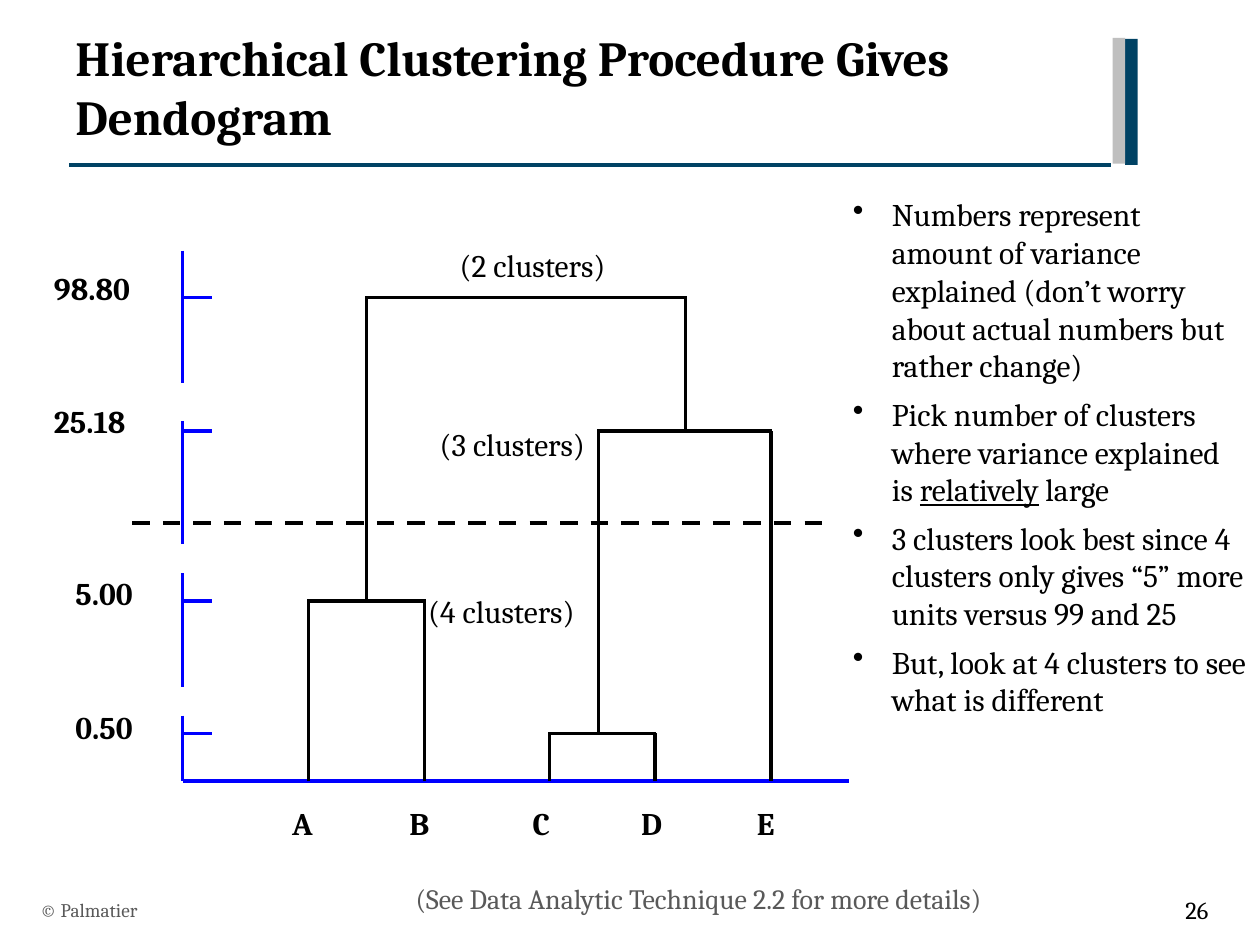
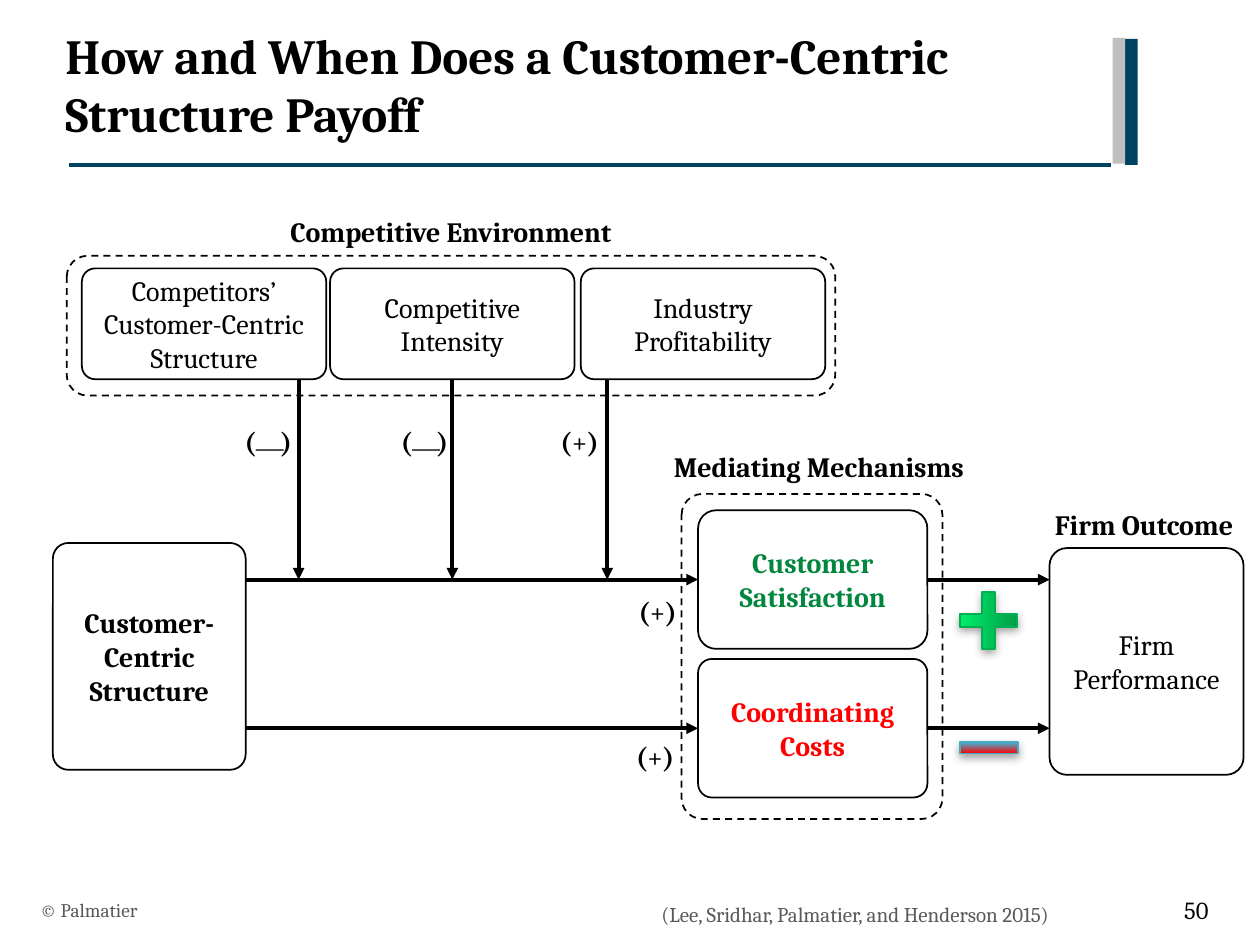
from lxml.etree import SubElement
from pptx import Presentation
from pptx.dml.color import RGBColor
from pptx.enum.dml import MSO_LINE
from pptx.enum.shapes import MSO_CONNECTOR, MSO_SHAPE
from pptx.enum.text import MSO_ANCHOR, PP_ALIGN
from pptx.oxml.ns import qn
from pptx.util import Inches, Pt

# Grid: 100 columns by 75 rows of square cells
WIDTH, HEIGHT = Inches(10), Inches(7.5)
CELL = WIDTH / 100

FONT = "Cambria"
BLACK = RGBColor(0x00, 0x00, 0x00)
WHITE = RGBColor(0xFF, 0xFF, 0xFF)
NAVY = RGBColor(0x00, 0x42, 0x64)
SILVER = RGBColor(0xBF, 0xBF, 0xBF)
GRAY = RGBColor(0x59, 0x59, 0x59)
BLUE = RGBColor(0x00, 0x00, 0xFF)
GREEN = RGBColor(0x00, 0x86, 0x3D)
RED = RGBColor(0xFF, 0x00, 0x00)
PLUS_EDGE = RGBColor(0x00, 0xB0, 0x50)
PLUS_FADE = RGBColor(0x00, 0x9E, 0x47), RGBColor(0x00, 0xEE, 0x6C)
MINUS_EDGE = RGBColor(0x46, 0xAA, 0xC5)
MINUS_FADE = RGBColor(0x39, 0xB7, 0xD8), RED


def cells(*counts):
    """Turn grid counts into lengths."""
    return [round(count * CELL) for count in counts]


def write(frame, paras, size=16, bold=False, color=BLACK, align=PP_ALIGN.LEFT,
          anchor=MSO_ANCHOR.TOP, bullet=None, gap=0, spacing=None):
    """Fill a frame; a paragraph is a string or a list of (text, font settings)."""
    frame.word_wrap = True
    frame.vertical_anchor = anchor
    for i, runs in enumerate([paras] if isinstance(paras, str) else paras):
        para = frame.paragraphs[0] if i == 0 else frame.add_paragraph()
        if bullet:
            props = para._p.get_or_add_pPr()
            indent = cells(3.1)[0]
            props.set("marL", str(indent))
            props.set("indent", str(-indent))
            SubElement(props, qn("a:buChar")).set("char", bullet)
        para.alignment = align
        if i and gap:
            para.space_before = Pt(gap)
        if spacing:
            para.line_spacing = spacing
        for words, extra in [(runs, {})] if isinstance(runs, str) else runs:
            run = para.add_run()
            run.text = words
            run.font.name, run.font.size = FONT, Pt(size)
            run.font.bold = bold
            run.font.color.rgb = color
            for name, value in extra.items():
                setattr(run.font, name, value)


def label(slide, box, paras, **style):
    write(slide.shapes.add_textbox(*cells(*box)).text_frame, paras, **style)


def line(slide, start, end, color=BLACK, width=2, dash=False, arrow=False):
    link = slide.shapes.add_connector(MSO_CONNECTOR.STRAIGHT, *cells(*start, *end))
    link.line.color.rgb = color
    link.line.width = Pt(width)
    if dash:
        link.line.dash_style = MSO_LINE.DASH
    if arrow:
        SubElement(link.line._get_or_add_ln(), qn("a:tailEnd")).set("type", "triangle")
    SubElement(link._element.spPr, qn("a:effectLst"))


def shape(slide, kind, box, fill=None, edge=None, dash=False, bend=None):
    item = slide.shapes.add_shape(kind, *cells(*box))
    item.shadow.inherit = False
    if bend is not None:
        item.adjustments[0] = bend
    if fill:
        item.fill.solid()
        item.fill.fore_color.rgb = fill
    else:
        item.fill.background()
    if edge is not None:
        item.line.color.rgb = edge
        item.line.width = Pt(1)
    else:
        item.line.fill.background()
    if dash:
        item.line.dash_style = MSO_LINE.DASH
    return item


def node(slide, box, paras, bend, **style):
    """Rounded box with centred text."""
    item = shape(slide, MSO_SHAPE.ROUNDED_RECTANGLE, box, WHITE, BLACK, bend=bend)
    write(item.text_frame, paras, align=PP_ALIGN.CENTER,
          anchor=MSO_ANCHOR.MIDDLE, **style)


def region(slide, box, bend):
    """Dashed outline around related nodes."""
    shape(slide, MSO_SHAPE.ROUNDED_RECTANGLE, box, None, BLACK, True, bend)


def glow(item, colors):
    """Shade a sign from top to bottom and give it a soft shadow."""
    item.fill.gradient()
    item.fill.gradient_angle = 270
    for stop, color in zip(item.fill.gradient_stops, colors):
        stop.color.rgb = color
    effects = item._element.spPr.find(qn("a:effectLst"))
    shade = SubElement(effects, qn("a:outerShdw"), blurRad=str(Pt(5)),
                       dist=str(Pt(2)), dir="5400000", rotWithShape="0")
    tint = SubElement(shade, qn("a:srgbClr"), val="808080")
    SubElement(tint, qn("a:alpha"), val="75000")


def heading(slide, left, middle, words):
    """Bold caption centred on a point."""
    label(slide, (left, middle, 61, 3.7), words, bold=True, align=PP_ALIGN.CENTER)


def effect(slide, left, top, sign):
    """Sign of an effect, in bold brackets."""
    runs = [("(", {}), (sign, {"bold": False}), (")", {})]
    label(slide, (left, top, 7, 3.7), [runs], bold=True, align=PP_ALIGN.CENTER)


def page(deck, title, spot, number):
    """Blank slide with the shared title, bands and footer."""
    slide = deck.slides.add_slide(deck.slide_layouts[6])
    line(slide, (5.5, 13.1), (88.2, 13.1), NAVY)
    shape(slide, MSO_SHAPE.RECTANGLE, (89.3, 3.1, 1, 10), NAVY)
    shape(slide, MSO_SHAPE.RECTANGLE, (88.3, 3, 1, 10), SILVER)
    label(slide, (*spot, 83.5, 10.9), title, size=28, bold=True)
    label(slide, (2.2, 70.2, 67, 4), "© Palmatier", size=11, color=GRAY,
          anchor=MSO_ANCHOR.MIDDLE)
    label(slide, (90.8, 70.2, 6.1, 4), number, size=14, align=PP_ALIGN.RIGHT,
          anchor=MSO_ANCHOR.MIDDLE)
    return slide


def cluster_page(deck):
    slide = page(deck, "Hierarchical Clustering Procedure Gives Dendogram",
                 (5, 1.7), "26")

    # Broken scale: value, label left, label top, tick, part top, part foot
    axis, base = 14.5, 62
    for value, left, top, tick, start, end in (
            ("98.80", 3.3, 21.1, 23.6, 19.9, 30.4),
            ("25.18", 3.3, 31.6, 34.2, 33.4, 43.2),
            ("5.00", 5, 45.3, 47.7, 45.5, 54.5),
            ("0.50", 5, 55.9, 58.2, 56.8, base)):
        label(slide, (left, top, 9.5, 4.8), value, size=18, bold=True, spacing=0.95)
        line(slide, (axis, start), (axis, end), BLUE)
        line(slide, (axis, tick), (axis + 2.3, tick), BLUE)
    line(slide, (axis, base), (67.4, base), BLUE)

    # Merges: left, right, top, left foot, right foot
    for left, right, top, foot, far in (
            (24.5, 33.7, 47.7, base, base),
            (43.6, 52, 58.2, base, base),
            (47.5, 61.2, 34.2, 58.2, base),
            (29.1, 54.4, 23.6, 47.7, 34.2)):
        line(slide, (left, foot), (left, top))
        line(slide, (right, far), (right, top))
        line(slide, (left - 0.1, top), (right + 0.1, top))
    for name, left in zip("ABCDE", (22.2, 31.5, 41.3, 49.9, 59.1)):
        label(slide, (left, 63.3, 4.4, 5), name, size=18, bold=True)

    # Cut line and cluster counts
    line(slide, (10.5, 41.5), (65.5, 41.5), width=2.5, dash=True)
    for count, left, top in ((2, 35.5, 19), (3, 33.9, 33.2), (4, 33, 46.5)):
        label(slide, (left, top, 17.5, 4.2), f"({count} clusters)", size=18)

    # Notes beside the tree
    label(slide, (66.7, 15, 33.3, 45.9), [
        "Numbers represent amount of variance explained "
        "(don’t worry about actual numbers but rather change)",
        [("Pick number of clusters where variance explained is ", {}),
         ("relatively", {"underline": True}), (" large", {})],
        "3 clusters look best since 4 clusters only gives “5” more "
        "units versus 99 and 25",
        "But, look at 4 clusters to see what is different",
    ], size=18, bullet="•", gap=6)
    label(slide, (32, 69.5, 51.3, 3.7),
          "(See Data Analytic Technique 2.2 for more details)", color=GRAY)


def payoff_page(deck):
    slide = page(deck, "How and When Does a Customer-Centric Structure Payoff",
                 (4.2, 1.5), "50")
    upper, lower = 46, 57.8

    # Rivals and market, with arrows down to the upper path
    region(slide, (5.3, 20.3, 61, 11.1), 0.15)
    heading(slide, 5.3, 16.5, "Competitive Environment")
    for left, paras, drop, mark, sign in (
            (6.5, "Competitors’ Customer-Centric Structure", 23.7, 17.8, "⎼"),
            (26.2, "Competitive Intensity", 35.9, 30.2, "⎼"),
            (46.1, ["Industry", "Profitability"], 48.2, 42.5, "+")):
        node(slide, (left, 21.3, 19.4, 8.8), paras, 0.12)
        line(slide, (drop, 30.2), (drop, upper), width=2.25, arrow=True)
        effect(slide, mark, 33.2, sign)

    # Paths from structure through both means to outcome
    region(slide, (54.1, 39.2, 20.7, 25.8), 0.08)
    heading(slide, 34.5, 35.2, "Mediating Mechanisms")
    for row, top, words, color, bend, mark in (
            (upper, 40.5, "Customer Satisfaction", GREEN, 0.13, (48.7, 46.7)),
            (lower, 52.3, "Coordinating Costs", RED, 0.1, (48.5, 58.2))):
        for start, end in ((19.5, 55.4), (73.6, 83.3)):
            line(slide, (start, row), (end, row), width=2.25, arrow=True)
        node(slide, (55.4, top, 18.2, 11), words, bend, bold=True, color=color)
        effect(slide, *mark, "+")

    # Both ends of the model
    node(slide, (4.2, 43.1, 15.3, 18), "Customer-Centric Structure", 0.08, bold=True)
    node(slide, (83.3, 43.5, 15.4, 18), "Firm Performance", 0.09)
    label(slide, (81.8, 39.8, 18, 3.7), "Firm Outcome", bold=True,
          align=PP_ALIGN.CENTER)

    # Gain and loss signs
    plus = shape(slide, MSO_SHAPE.CROSS, (76.2, 47, 4.5, 4.5), edge=PLUS_EDGE, bend=0.39)
    plus.rotation = 90
    glow(plus, PLUS_FADE)
    minus = shape(slide, MSO_SHAPE.RECTANGLE, (76.2, 58.9, 4.6, 0.9), edge=MINUS_EDGE)
    glow(minus, MINUS_FADE)

    label(slide, (51.5, 71.1, 45.9, 3),
          "(Lee, Sridhar, Palmatier, and Henderson 2015)", size=12, color=GRAY)


def main():
    deck = Presentation()
    deck.slide_width, deck.slide_height = WIDTH, HEIGHT
    cluster_page(deck)
    payoff_page(deck)
    deck.save("out.pptx")


if __name__ == "__main__":
    main()
